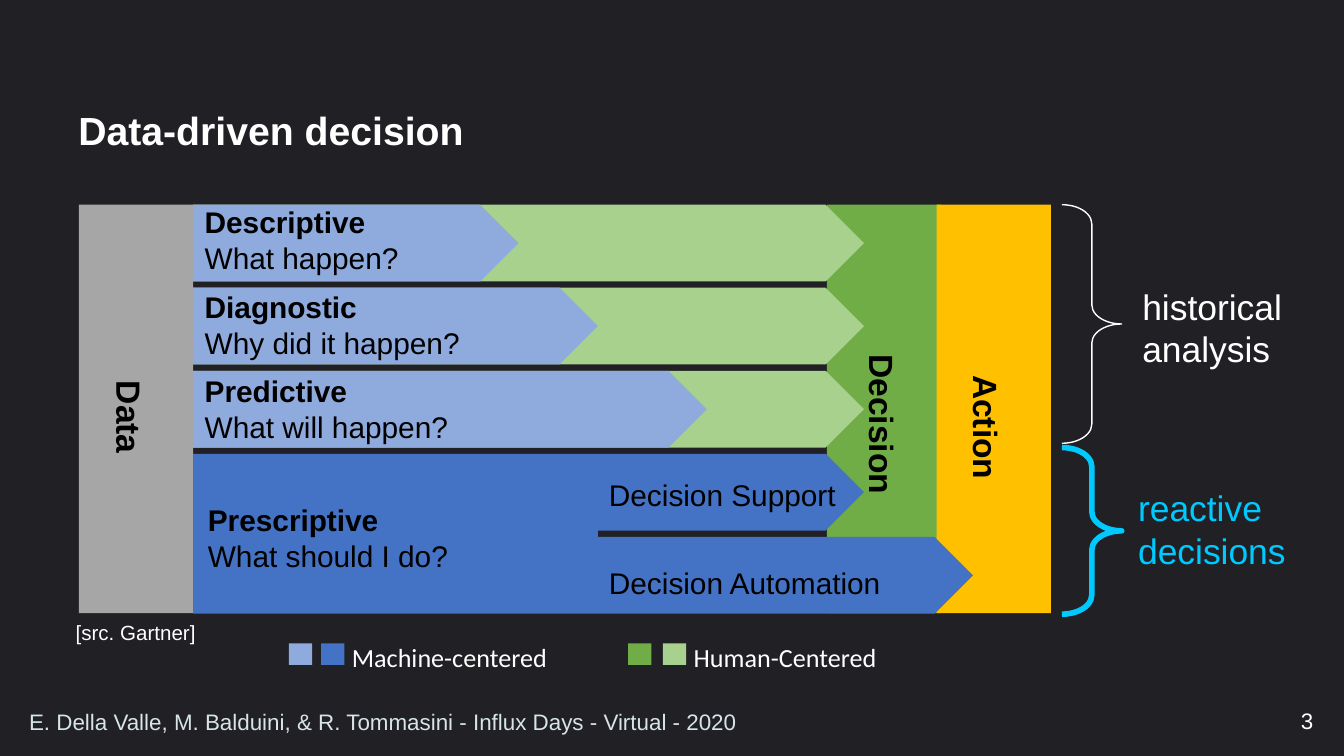
from pptx import Presentation
from pptx.dml.color import RGBColor
from pptx.enum.shapes import MSO_SHAPE
from pptx.enum.text import MSO_ANCHOR, PP_ALIGN
from pptx.util import Cm, Pt

RECTANGLE, PENTAGON, BRACE = MSO_SHAPE.RECTANGLE, MSO_SHAPE.PENTAGON, MSO_SHAPE.RIGHT_BRACE
MIDDLE, RIGHT = MSO_ANCHOR.MIDDLE, PP_ALIGN.RIGHT

NIGHT = RGBColor(0x20, 0x20, 0x25)
BLACK = RGBColor(0x00, 0x00, 0x00)
WHITE = RGBColor(0xFF, 0xFF, 0xFF)
MIST = RGBColor(0xD7, 0xE5, 0xE6)
GREY = RGBColor(0xA6, 0xA6, 0xA6)
AMBER = RGBColor(0xFF, 0xC0, 0x00)
CYAN = RGBColor(0x00, 0xC9, 0xFF)
GREEN = RGBColor(0x70, 0xAD, 0x47)
LIGHT_GREEN = RGBColor(0xA9, 0xD1, 0x8E)
BLUE = RGBColor(0x44, 0x72, 0xC4)
LIGHT_BLUE = RGBColor(0x8F, 0xAA, 0xDC)

SLIDE_WIDTH, SLIDE_HEIGHT = 25.4, 14.29
TOP = 3.87
COLUMN_WIDTH, COLUMN_HEIGHT = 2.16, 7.72
BAR_LEFT, BAR_HEIGHT, BAR_PITCH = 3.65, 1.45, 1.57
SUPPORT_LENGTH, AUTOMATION_LENGTH = 12.68, 14.74

HEADING = {"name": "Arial", "size": Pt(16), "bold": True}
PLAIN = {"name": "Arial", "size": Pt(16), "bold": False}
COLUMN = {"name": "Arial", "size": Pt(18), "bold": True}
LEGEND = {"name": "Calibri", "size": Pt(14)}
BRACE_LABEL = {"name": "Arial", "size": Pt(19)}
FOOTER = {"name": "Arial", "size": Pt(12)}

# heading, question, text top, length of the machine part
ANALYSES = [
    ("Descriptive", "What happen?", 3.73, 6.15),
    ("Diagnostic", "Why did it happen?", 5.34, 7.65),
    ("Predictive", "What will happen?", 6.92, 9.71),
]


def add_block(slide, kind, left, top, width, height, color):
    block = slide.shapes.add_shape(kind, Cm(left), Cm(top), Cm(width), Cm(height))
    block.shadow.inherit = False
    block.fill.solid()
    block.fill.fore_color.rgb = color
    block.line.fill.background()


def add_bar(slide, row, length, color):
    add_block(slide, PENTAGON, BAR_LEFT, TOP + row * BAR_PITCH, length, BAR_HEIGHT, color)


def add_brace(slide, top, height, color, weight):
    brace = slide.shapes.add_shape(BRACE, Cm(20.07), Cm(top), Cm(1.13), Cm(height))
    brace.shadow.inherit = False
    brace.adjustments[0] = 0.32
    brace.fill.background()
    brace.line.color.rgb = color
    brace.line.width = Pt(weight)


def add_text(slide, left, top, width, height, lines, color, wrap=False, anchor=None,
             align=None, rotation=0):
    """Add a text box; lines holds one (text, font format) pair for each paragraph."""
    box = slide.shapes.add_textbox(Cm(left), Cm(top), Cm(width), Cm(height))
    box.rotation = rotation
    frame = box.text_frame
    frame.word_wrap = wrap
    frame.vertical_anchor = anchor
    for index, (text, font_format) in enumerate(lines):
        para = frame.add_paragraph() if index else frame.paragraphs[0]
        para.alignment = align
        span = para.add_run()
        span.text = text
        span.font.color.rgb = color
        for name, value in font_format.items():
            setattr(span.font, name, value)
    return frame


def add_title(slide):
    title_format = {"name": "Arial", "size": Pt(21), "bold": True}
    frame = add_text(slide, 1.3, 1.7, 22.81, 1.63, [("Data-driven decision", title_format)],
                     WHITE, wrap=True, anchor=MIDDLE)
    frame.margin_left = frame.margin_right = Cm(0.18)
    frame.margin_top = frame.margin_bottom = Cm(0.1)
    frame.paragraphs[0].line_spacing = 0.9


def add_diagram(slide):
    for left, color in ((15.63, GREEN), (1.49, GREY), (17.7, AMBER)):
        add_block(slide, RECTANGLE, left, TOP, COLUMN_WIDTH, COLUMN_HEIGHT, color)
    for row, (heading, question, top, machine_length) in enumerate(ANALYSES):
        add_bar(slide, row, SUPPORT_LENGTH, LIGHT_GREEN)
        add_bar(slide, row, machine_length, LIGHT_BLUE)
        add_text(slide, 3.62, top, 5.6, 1.4, [(heading, HEADING), (question, PLAIN)], BLACK)

    add_bar(slide, 3, SUPPORT_LENGTH, BLUE)
    add_bar(slide, 4, AUTOMATION_LENGTH, BLUE)
    add_block(slide, RECTANGLE, BAR_LEFT, 8.61, 7.65, 2.96, BLUE)
    add_text(slide, 3.68, 9.36, 5.6, 1.5,
             [("Prescriptive", HEADING), ("What should I do?", PLAIN)], BLACK)
    add_text(slide, 11.26, 8.89, 5.2, 0.89, [("Decision Support", PLAIN)], BLACK)
    add_text(slide, 11.26, 10.55, 6, 0.89, [("Decision Automation", PLAIN)], BLACK)

    for label, left, top, width in (("Action", 17.3, 7.85, 2.86), ("Data", 1.3, 7.77, 2.48),
                                    ("Decision", 15.02, 7.77, 3.49)):
        add_text(slide, left, top, width, 0.84, [(label, COLUMN)], BLACK, rotation=90)


def add_braces(slide):
    add_brace(slide, TOP, 4.51, WHITE, 0.75)
    add_brace(slide, 8.46, 3.15, CYAN, 3)
    add_text(slide, 21.34, 5.26, 3.38, 1.88,
             [("historical", BRACE_LABEL), ("analysis", BRACE_LABEL)], WHITE)
    add_text(slide, 21.26, 9.07, 4.04, 1.88, [("reactive decisions", BRACE_LABEL)], CYAN, wrap=True)


def add_legend(slide):
    for left, color in ((5.46, LIGHT_BLUE), (6.07, BLUE), (11.87, GREEN), (12.53, LIGHT_GREEN)):
        add_block(slide, RECTANGLE, left, 12.16, 0.44, 0.41, color)
    add_text(slide, 6.4, 11.99, 4.6, 0.89, [("Machine-centered", LEGEND)], WHITE)
    add_text(slide, 12.86, 11.99, 8.31, 0.89, [("Human-Centered", LEGEND)], WHITE)


def add_footer(slide):
    source_format = {"name": "Arial", "size": Pt(11)}
    add_text(slide, 1.18, 11.59, 2.79, 0.74, [("[src. Gartner]", source_format)], WHITE)
    credit = "E. Della Valle, M. Balduini, & R. Tommasini - Influx Days - Virtual - 2020"
    add_text(slide, 0.3, 13.27, 18.92, 0.74, [(credit, FOOTER)], MIST, wrap=True, anchor=MIDDLE)
    add_text(slide, 19.35, 13.24, 5.72, 0.76, [("3", FOOTER)], WHITE, wrap=True, anchor=MIDDLE,
             align=RIGHT)


def main():
    deck = Presentation()
    deck.slide_width, deck.slide_height = Cm(SLIDE_WIDTH), Cm(SLIDE_HEIGHT)
    slide = deck.slides.add_slide(deck.slide_layouts[6])
    add_block(slide, RECTANGLE, 0, 0, SLIDE_WIDTH, SLIDE_HEIGHT, NIGHT)
    add_title(slide)
    add_diagram(slide)
    add_braces(slide)
    add_legend(slide)
    add_footer(slide)
    deck.save("out.pptx")


if __name__ == "__main__":
    main()
